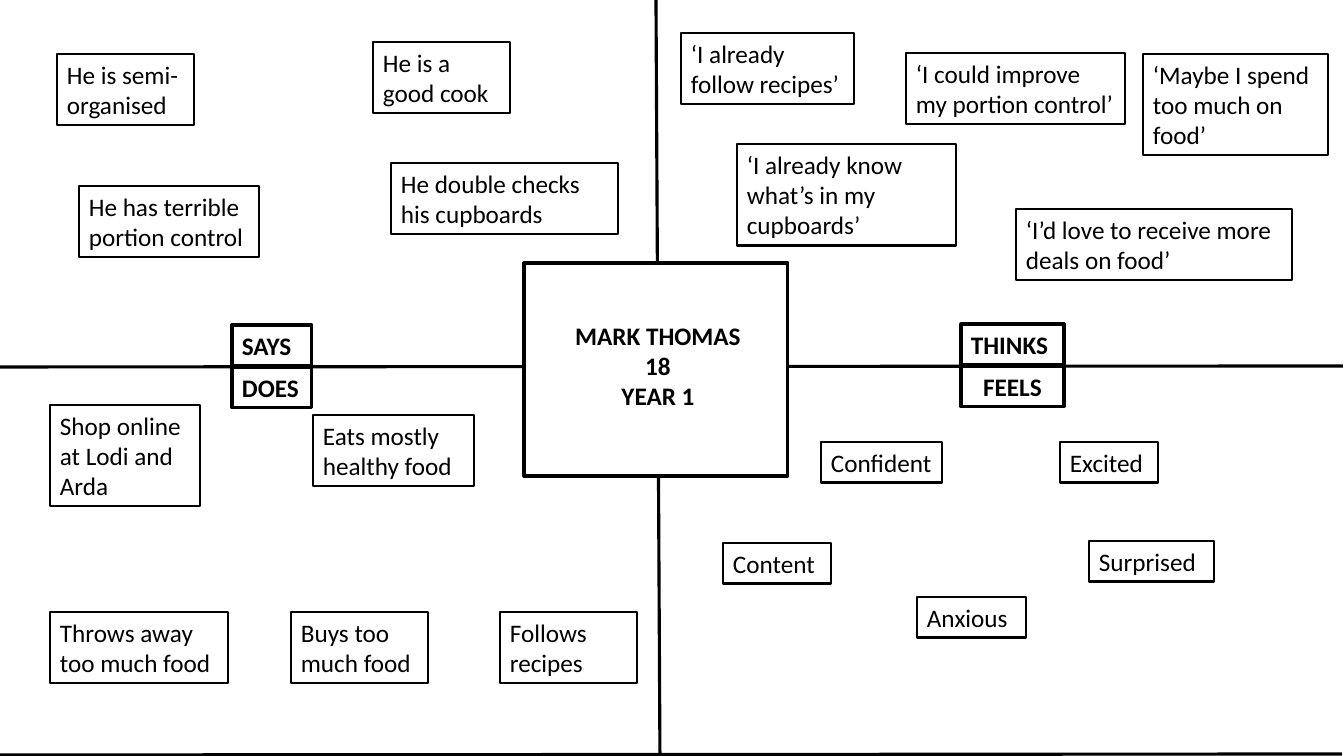
"""Build an empathy map slide with four quadrants around a persona."""
import pptx
import pptx.dml.color
import pptx.enum.shapes
import pptx.enum.text
import pptx.oxml.ns
import pptx.util
from lxml import etree

BLACK = pptx.dml.color.RGBColor(0, 0, 0)
WHITE = pptx.dml.color.RGBColor(255, 255, 255)
LEFT = pptx.enum.text.PP_ALIGN.LEFT
CENTER = pptx.enum.text.PP_ALIGN.CENTER
SLIDE_SIZE = (1344, 756)
LINE_HEIGHT, TEXT_MARGINS = 30.5, 10
FONT = {"name": "Calibri", "size": pptx.util.Pt(18)}

DIVIDERS = [(656, 0, 660, 756), (0, 367, 1343, 366)]
BOTTOM_RULE = (-1, 755, 1342, 754)
PERSONA_FRAME = (524, 263, 264, 213)
PERSONA = ((543, 315, 230), ["MARK THOMAS", "18", "YEAR 1"])
LABELS = [
    ("THINKS", 961, 324, 103, LEFT),
    ("SAYS", 232, 325, 80, LEFT),
    ("FEELS", 961, 366, 103, CENTER),
    ("DOES", 232, 367, 80, LEFT),
]
NOTES = {
    "says": [
        ("He double checks his cupboards", 391, 163, 227, 2),
        ("He has terrible portion control", 79, 186, 180, 2),
        ("He is a good cook", 373, 42, 137, 2),
        ("He is semi-organised", 57, 54, 137, 2),
    ],
    "thinks": [
        ("‘I’d love to receive more deals on food’", 1016, 209, 276, 2),
        ("‘I already know what’s in my cupboards’", 737, 144, 219, 3),
        ("‘Maybe I spend too much on food’", 1143, 54, 185, 3),
        ("‘I could improve my portion control’", 906, 53, 219, 2),
        ("‘I already follow recipes’", 681, 33, 173, 2),
    ],
    "does": [
        ("Follows recipes", 500, 612, 137, 2),
        ("Buys too much food", 291, 612, 137, 2),
        ("Eats mostly healthy food", 313, 415, 161, 2),
        ("Throws away too much food", 50, 612, 178, 2),
        ("Shop online at Lodi and Arda", 50, 405, 150, 3),
    ],
    "feels": [
        ("Content", 723, 543, 108, 1),
        ("Anxious", 917, 597, 109, 1),
        ("Surprised", 1089, 541, 125, 1),
        ("Excited", 1060, 442, 98, 1),
        ("Confident", 821, 442, 121, 1),
    ],
}


def px(length):
    return round(length * 914400 / 100.8)


def add_rule(slide, ends):
    connector = slide.shapes.add_connector(
        pptx.enum.shapes.MSO_CONNECTOR.STRAIGHT, *map(px, ends))
    connector.line.color.rgb = BLACK
    connector.line.width = pptx.util.Pt(2.25)
    properties = connector._element.spPr
    etree.SubElement(properties, pptx.oxml.ns.qn("a:effectLst"))


def add_frame(slide, box):
    frame = slide.shapes.add_shape(
        pptx.enum.shapes.MSO_SHAPE.RECTANGLE, *map(px, box))
    frame.shadow.inherit = False
    frame.fill.solid()
    frame.fill.fore_color.rgb = WHITE
    frame.line.color.rgb = BLACK
    frame.line.width = pptx.util.Pt(2.25)


def add_text(slide, texts, place, lines, border, weight, align=LEFT, bold=False):
    height = TEXT_MARGINS + LINE_HEIGHT * lines
    shape = slide.shapes.add_textbox(*map(px, (*place, height)))
    shape.line.color.rgb = border
    shape.line.width = pptx.util.Pt(weight)
    frame = shape.text_frame
    frame.word_wrap = True
    frame.auto_size = pptx.enum.text.MSO_AUTO_SIZE.SHAPE_TO_FIT_TEXT
    frame.text = "\n".join(texts)
    for paragraph in frame.paragraphs:
        paragraph.alignment = align
        font = paragraph.runs[0].font
        for attribute, value in {**FONT, "bold": bold}.items():
            setattr(font, attribute, value)
        font.color.rgb = BLACK


def main():
    presentation = pptx.Presentation()
    presentation.slide_width, presentation.slide_height = map(px, SLIDE_SIZE)
    slide = presentation.slides.add_slide(presentation.slide_layouts[6])
    for ends in DIVIDERS:
        add_rule(slide, ends)
    add_frame(slide, PERSONA_FRAME)
    place, texts = PERSONA
    add_text(slide, texts, place, len(texts), WHITE, 0.75, CENTER, True)
    for text, left, top, width, align in LABELS:
        add_text(slide, [text], (left, top, width), 1, BLACK, 2.25, align, True)
    for notes in NOTES.values():
        for text, left, top, width, lines in notes:
            add_text(slide, [text], (left, top, width), lines, BLACK, 1.5)
    add_rule(slide, BOTTOM_RULE)
    presentation.save("out.pptx")


if __name__ == "__main__":
    main()
